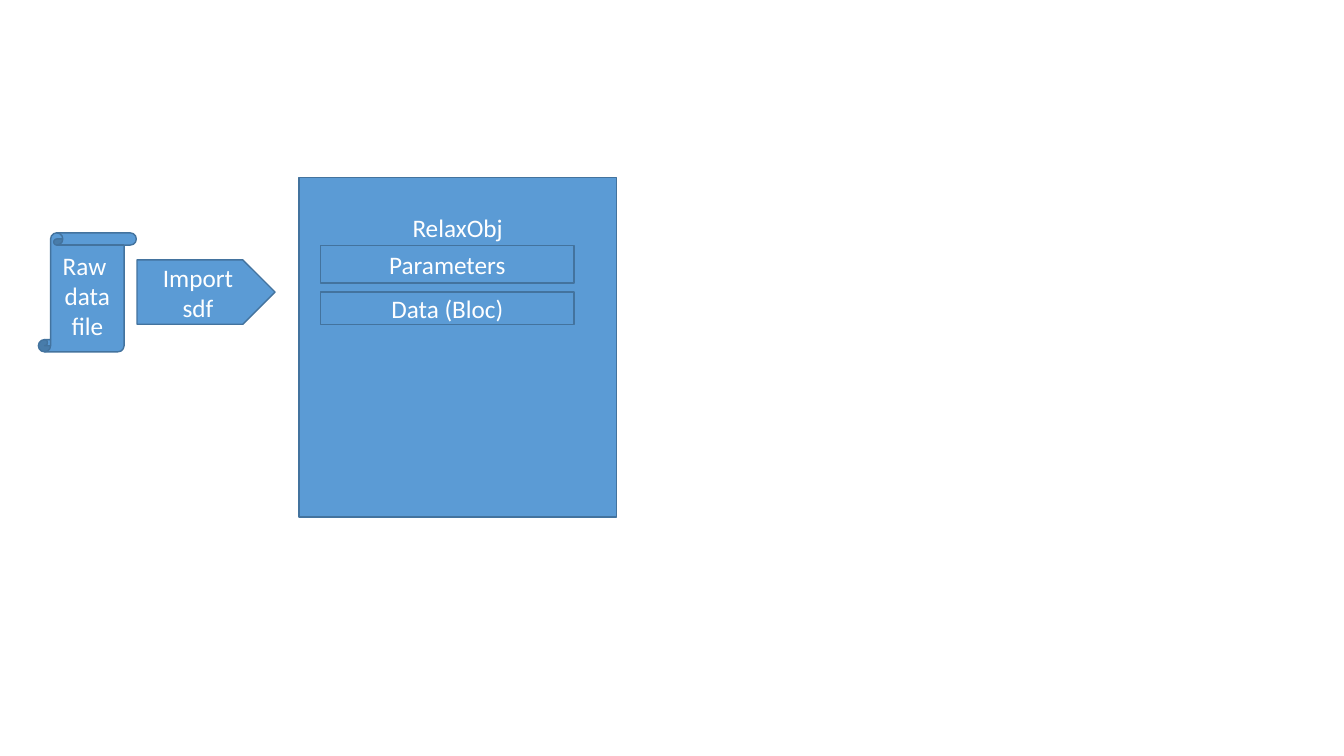
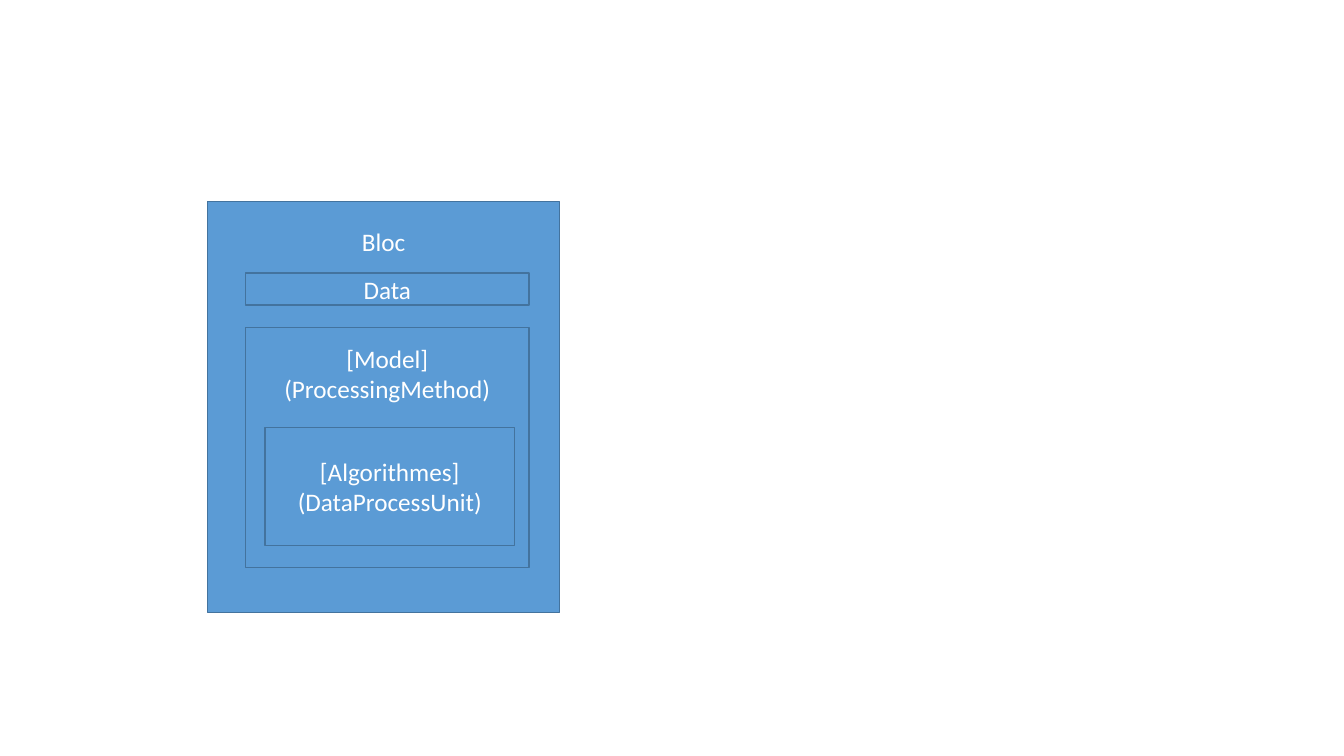
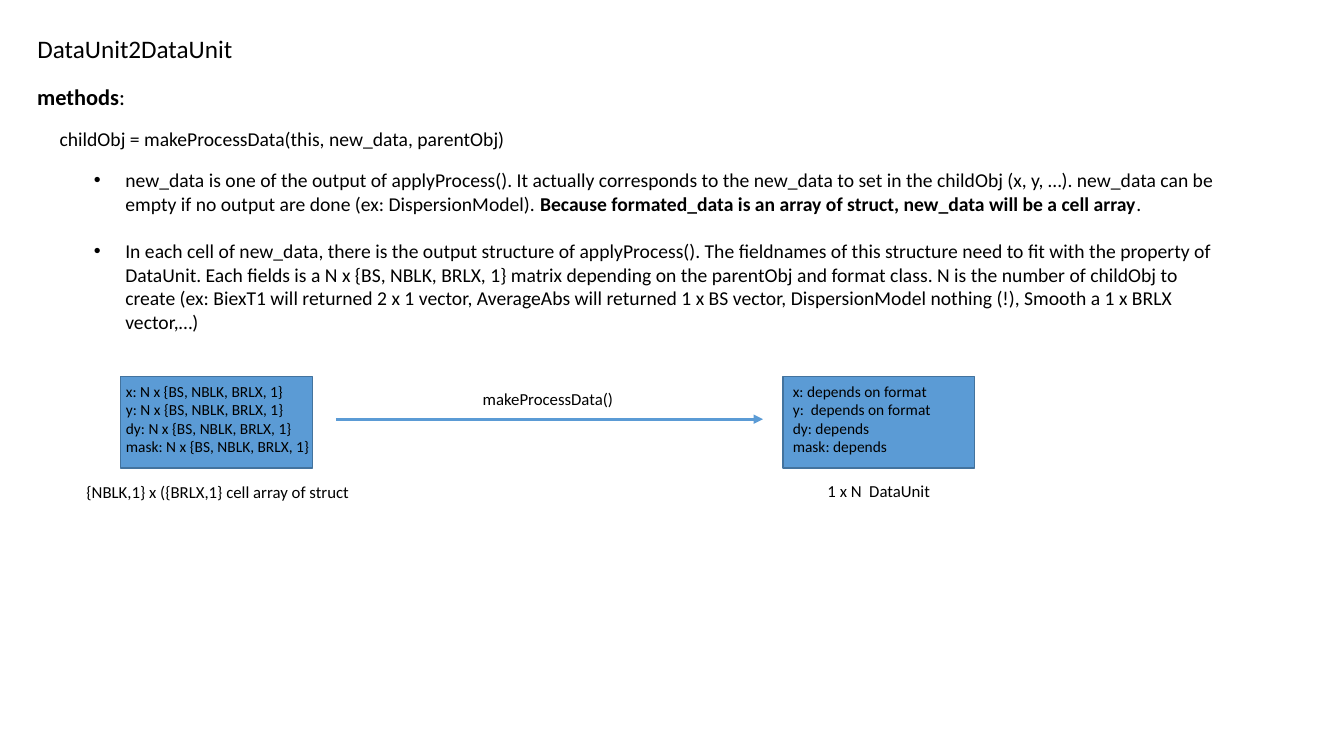
from dataclasses import dataclass

from lxml import etree
from pptx import Presentation
from pptx.dml.color import RGBColor
from pptx.enum import shapes, text
from pptx.oxml import ns
from pptx.util import Pt

SHAPE = shapes.MSO_SHAPE
LEFT, CENTER = text.PP_ALIGN.LEFT, text.PP_ALIGN.CENTER
TOP, MIDDLE = text.MSO_ANCHOR.TOP, text.MSO_ANCHOR.MIDDLE


@dataclass(frozen=True)
class Theme:
    font: str = "Calibri"
    fill: RGBColor = RGBColor(0x5B, 0x9B, 0xD5)
    edge: RGBColor = RGBColor(0x43, 0x73, 0x9E)
    light: RGBColor = RGBColor(0xFF, 0xFF, 0xFF)
    dark: RGBColor = RGBColor(0, 0, 0)
    title: int = 18
    heading: int = 16
    body: int = 14
    caption: int = 12
    field: int = 11


class Deck:
    """Holds the style and the slide being drawn; lengths are in points."""

    def __init__(self, theme):
        self.theme = theme
        self.prs = Presentation()
        self.prs.slide_width, self.prs.slide_height = Pt(960), Pt(540)
        self.slide = None

    def new_slide(self, layout):
        layouts = self.prs.slide_layouts
        self.slide = self.prs.slides.add_slide(layouts.get_by_name(layout))

    def set_text(self, frame, paragraphs, size, color, align=LEFT, anchor=TOP):
        """Fill a frame; words between ** marks are bold."""
        frame.word_wrap = True
        frame.auto_size = text.MSO_AUTO_SIZE.NONE
        frame.vertical_anchor = anchor
        for number, content in enumerate(paragraphs):
            paragraph = frame.add_paragraph() if number else frame.paragraphs[0]
            plain, *marked = content.split("**")
            paragraph.text = plain
            paragraph.alignment = align
            for position, piece in enumerate(marked):
                run = paragraph.add_run()
                run.text = piece
                run.font.bold = position % 2 == 0
            for run in paragraph.runs:
                run.font.name = self.theme.font
                run.font.size = Pt(size)
                run.font.color.rgb = color

    def place(self, placeholder, at):
        (placeholder.left, placeholder.top,
         placeholder.width, placeholder.height) = map(Pt, at)
        return placeholder.text_frame

    def title(self, content, at):
        frame = self.place(self.slide.shapes.title, at)
        self.set_text(frame, [content], self.theme.title, self.theme.dark)

    def bullets(self, items, at, indent, gap):
        frame = self.place(self.slide.placeholders[1], at)
        self.set_text(frame, items, self.theme.body, self.theme.dark)
        for number, paragraph in enumerate(frame.paragraphs):
            paragraph.space_before = Pt(gap if number else 0)
            properties = paragraph._p.get_or_add_pPr()
            properties.set("marL", str(Pt(indent)))
            properties.set("indent", str(-Pt(indent)))

    def box(self, at, label=None, kind=SHAPE.RECTANGLE, head=None):
        """Draw a filled shape; head is the space above a label set at the top."""
        shape = self.slide.shapes.add_shape(kind, *map(Pt, at))
        shape.shadow.inherit = False
        shape.fill.solid()
        shape.fill.fore_color.rgb = self.theme.fill
        shape.line.color.rgb = self.theme.edge
        shape.line.width = Pt(1)
        if label:
            anchor = MIDDLE if head is None else TOP
            self.set_text(shape.text_frame, label.split("\n"), self.theme.title,
                          self.theme.light, CENTER, anchor)
        if head is not None:
            shape.text_frame.margin_top = Pt(head)

    def label(self, paragraphs, at, size, align=LEFT, wrap=True):
        frame = self.slide.shapes.add_textbox(*map(Pt, at)).text_frame
        self.set_text(frame, paragraphs, size, self.theme.dark, align)
        frame.word_wrap = wrap

    def arrow(self, start, end):
        arrow = self.slide.shapes.add_connector(
            shapes.MSO_CONNECTOR.STRAIGHT, *map(Pt, start + end))
        arrow.line.color.rgb = self.theme.fill
        arrow.line.width = Pt(2.25)
        properties = arrow._element.spPr
        etree.SubElement(properties.find(ns.qn("a:ln")), ns.qn("a:tailEnd"),
                         type="triangle")
        etree.SubElement(properties, ns.qn("a:effectLst"))


def import_slide(deck):
    deck.new_slide("Blank")
    # From file to object
    deck.box((27.4, 166.3, 70, 85), "Raw \vdata file", SHAPE.VERTICAL_SCROLL)
    deck.box((97.9, 185.6, 98.6, 46), "Import sdf", SHAPE.PENTAGON)
    # Object and its parts
    deck.box((213.5, 126.7, 226.8, 242.6), "RelaxObj", head=25)
    for part, top, height in (("Parameters", 175.5, 26.6),
                              ("Data (Bloc)", 208.7, 23)):
        deck.box((229, top, 181, height), part)


def bloc_slide(deck):
    deck.new_slide("Blank")
    # Nested boxes, outermost first
    deck.box((148.4, 144, 251.3, 293.5), "Bloc", head=18)
    deck.box((175.5, 195, 202.3, 23), "Data")
    deck.box((175.5, 234, 202.3, 171.4), "[Model]\v(ProcessingMethod)", head=11)
    deck.box((189.4, 305.4, 178, 84.2), "[Algorithmes]\n(DataProcessUnit)")


def methods_slide(deck):
    theme = deck.theme
    deck.new_slide("Title and Content")
    # Title, heading and signature
    deck.title("DataUnit2DataUnit", (19.5, 20.2, 235, 29))
    deck.label(["**methods**:"], (19.5, 55.5, 173.5, 27), theme.heading)
    deck.label(["childObj = makeProcessData(this, new_data, parentObj)"],
               (26.6, 87.1, 350, 24.5), theme.body, CENTER)
    # Explanation
    deck.bullets([
        "new_data is one of the output of applyProcess(). It actually "
        "corresponds to the new_data to set in the childObj (x, y, …). "
        "new_data can be empty if no output are done (ex: DispersionModel). "
        "**Because formated_data is an array of struct, new_data will be a "
        "cell array**.",
        "In each cell of new_data, there is the output structure of "
        "applyProcess(). The fieldnames of this structure need to fit with "
        "the property of DataUnit. Each fields is a N x {BS, NBLK, BRLX, 1} "
        "matrix depending on the parentObj and format class. N is the number "
        "of childObj to create (ex: BiexT1 will returned 2 x 1 vector, "
        "AverageAbs will returned 1 x BS vector, DispersionModel nothing (!), "
        "Smooth a 1 x BRLX vector,…)",
    ], (59.8, 116.6, 820.8, 126), indent=22.5, gap=17)
    # Input and output structures
    size = "N x {BS, NBLK, BRLX, 1}"
    inputs = [f"{field}: {size}" for field in ("x", "y", "dy", "mask")]
    outputs = ["x: depends on format", "y:  depends on format",
               "dy: depends", "mask: depends"]
    for box_left, text_left, fields in ((86.2, 82.8, inputs),
                                        (559.2, 559.2, outputs)):
        deck.box((box_left, 268.8, 137, 65.6))
        deck.label(fields, (text_left, 269.3, 157, 60.5), theme.field)
    # Conversion arrow and captions
    deck.arrow((240, 299.4), (545, 299.4))
    deck.label(["makeProcessData()"], (337.7, 274.3, 108.7, 21.8),
               theme.caption, wrap=False)
    deck.label(["{NBLK,1} x ({BRLX,1} cell array of struct"],
               (54.7, 340.4, 203.8, 21.8), theme.caption, wrap=False)
    deck.label(["1 x N  DataUnit"], (559.2, 339.8, 137, 21.8),
               theme.caption, CENTER)


def main():
    deck = Deck(Theme())
    import_slide(deck)
    bloc_slide(deck)
    methods_slide(deck)
    deck.prs.save("out.pptx")


if __name__ == "__main__":
    main()
